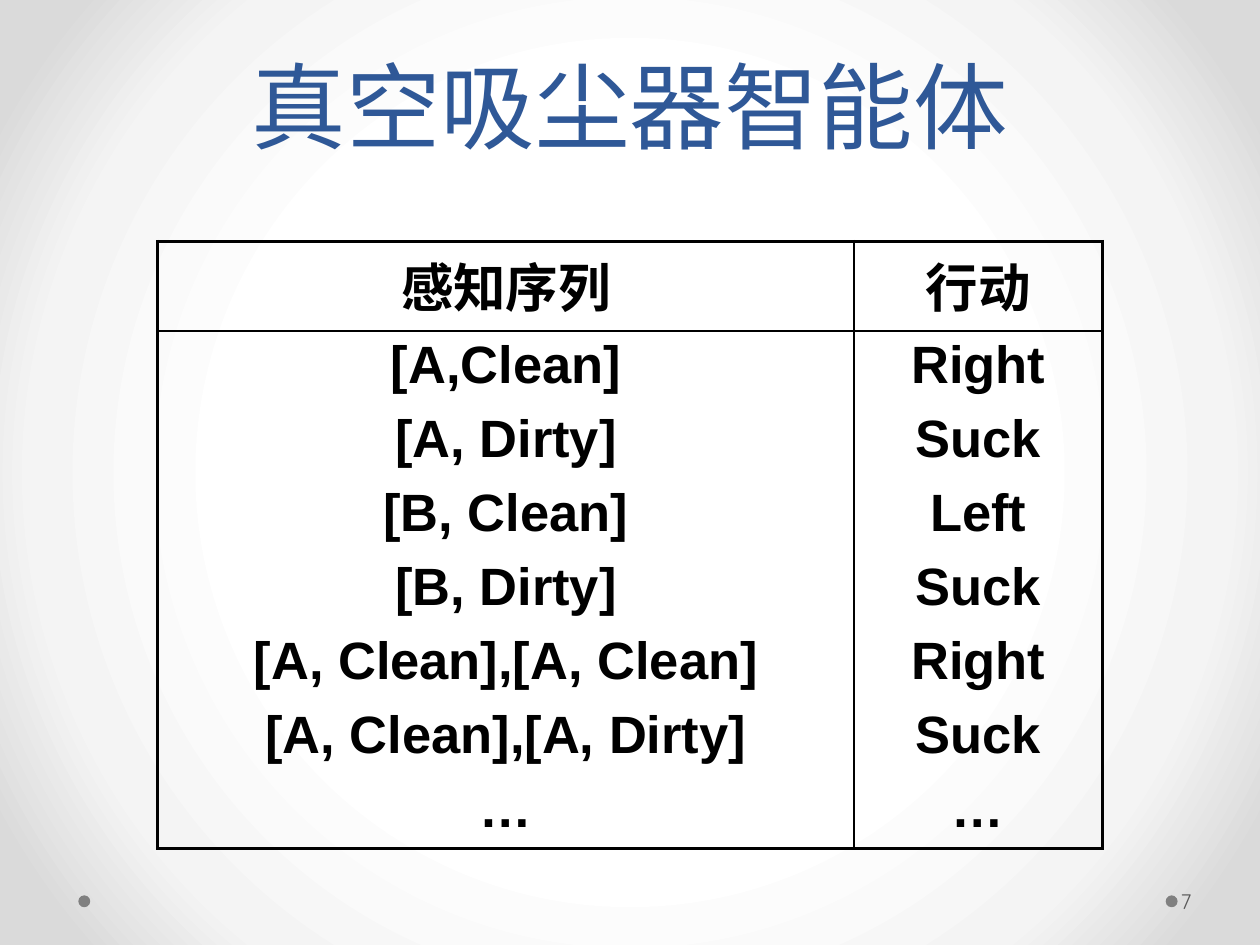
import pptx
import pptx.util
import pptx.dml.color
import pptx.enum.shapes
import pptx.enum.text
import pptx.oxml
import pptx.oxml.ns
from dataclasses import dataclass
from pptx.util import Cm

Pt = pptx.util.Pt
Align = pptx.enum.text.PP_ALIGN
Anchor = pptx.enum.text.MSO_ANCHOR
NS = pptx.oxml.ns.nsdecls("a")
THICK, THIN, NONE = 2.25, 1, 0


@dataclass
class Font:
    name: str
    size: float
    color: str
    bold: bool = False


@dataclass
class Label:
    text: str
    box: tuple
    font: Font
    align: int
    inset: tuple
    space: float = 0


BODY = Font("Arial", 30, "000000", True)
LABELS = [
    Label("真空吸尘器智能体", (1.27, 0, 22.86, 4.45), Font("Cambria", 54, "2F5897"),
          Align.CENTER, (0.25, 0.13, 0.25, 0.13), 58),
    Label("7", (23.72, 17.65, 1.55, 1.02), Font("Quicksand", 12, "595959"),
          Align.LEFT, (0.08, 0.13, 0.13, 0.13)),
]
ROWS = [
    ("感知序列", "行动"),
    ("[A,Clean]", "Right"),
    ("[A, Dirty]", "Suck"),
    ("[B, Clean]", "Left"),
    ("[B, Dirty]", "Suck"),
    ("[A, Clean],[A, Clean]", "Right"),
    ("[A, Clean],[A, Dirty]", "Suck"),
    ("…", "…"),
]
WIDTHS = (14.04, 5.0)
HEAD, STEP = 1.8, 1.44
STOPS = ((50, "FFFFFF"), (76, "F4F4F4"), (92, "DADADA"))


def rgb(code: str):
    return pptx.dml.color.RGBColor.from_string(code)


def write(para, text: str, font: Font, align) -> None:
    para.alignment = align
    run = para.add_run()
    run.text = text
    run.font.name = font.name
    run.font.size = Pt(font.size)
    run.font.bold = font.bold
    run.font.color.rgb = rgb(font.color)


def paint(slide) -> None:
    """Lay a round gradient behind the slide."""
    fill = slide.background.fill
    fill.solid()
    fill.fore_color.rgb = rgb("FFFFFF")
    stops = "".join(f'<a:gs pos="{pos * 1000}"><a:srgbClr val="{code}"/></a:gs>'
                    for pos, code in STOPS)
    grad = pptx.oxml.parse_xml(
        f'<a:gradFill {NS} rotWithShape="1"><a:gsLst>{stops}</a:gsLst>'
        '<a:path path="circle"><a:fillToRect l="50000" t="50000" r="50000" b="50000"/>'
        '</a:path></a:gradFill>')
    solid = next(slide.element.iter(pptx.oxml.ns.qn("a:solidFill")))
    solid.getparent().replace(solid, grad)


def dot(slide, left: float) -> None:
    oval = slide.shapes.add_shape(pptx.enum.shapes.MSO_SHAPE.OVAL,
                                  Cm(left), Cm(18.05), Cm(0.24), Cm(0.24))
    oval.shadow.inherit = False
    oval.fill.solid()
    oval.fill.fore_color.rgb = rgb("808080")
    oval.line.fill.background()


def place(slide, label: Label) -> None:
    frame = slide.shapes.add_textbox(*map(Cm, label.box)).text_frame
    frame.word_wrap = True
    frame.vertical_anchor = Anchor.MIDDLE
    (frame.margin_left, frame.margin_top,
     frame.margin_right, frame.margin_bottom) = map(Cm, label.inset)
    para = frame.paragraphs[0]
    if label.space:
        para.line_spacing = Pt(label.space)
    write(para, label.text, label.font, label.align)


def edge(cell, side: str, width: float) -> None:
    ink = '<a:solidFill><a:srgbClr val="000000"/></a:solidFill>' if width else "<a:noFill/>"
    line = f'<a:ln{side} {NS} w="{Pt(width)}">{ink}</a:ln{side}>'
    cell._tc.get_or_add_tcPr().append(pptx.oxml.parse_xml(line))


def grid(slide) -> None:
    count, last = len(ROWS), len(ROWS) - 1
    table = slide.shapes.add_table(count, 2, Cm(3.18), Cm(4.87), Cm(sum(WIDTHS)),
                                   Cm(HEAD + STEP * last)).table
    table.first_row = table.horz_banding = False
    for col, width in zip(table.columns, WIDTHS):
        col.width = Cm(width)
    for i, texts in enumerate(ROWS):
        table.rows[i].height = Cm(STEP if i else HEAD)
        top = THICK if i == 0 else THIN if i == 1 else NONE
        base = THICK if i == last else THIN if i == 0 else NONE
        for j, text in enumerate(texts):
            cell = table.cell(i, j)
            cell.margin_top = cell.margin_bottom = Cm(0.11)
            sides = (THIN, THICK) if j else (THICK, THIN)
            for side, width in zip("LRTB", (*sides, top, base)):
                edge(cell, side, width)
            cell.fill.background()
            write(cell.text_frame.paragraphs[0], text, BODY, Align.CENTER)


def main() -> None:
    deck = pptx.Presentation()
    deck.slide_width, deck.slide_height = Cm(25.4), Cm(19.05)
    slide = deck.slides.add_slide(deck.slide_layouts[6])
    # Backdrop and footer dots
    paint(slide)
    for left in (23.5, 1.58):
        dot(slide, left)
    # Title and page number
    for label in LABELS:
        place(slide, label)
    # Percepts and actions
    grid(slide)
    deck.save("out.pptx")


if __name__ == "__main__":
    main()
